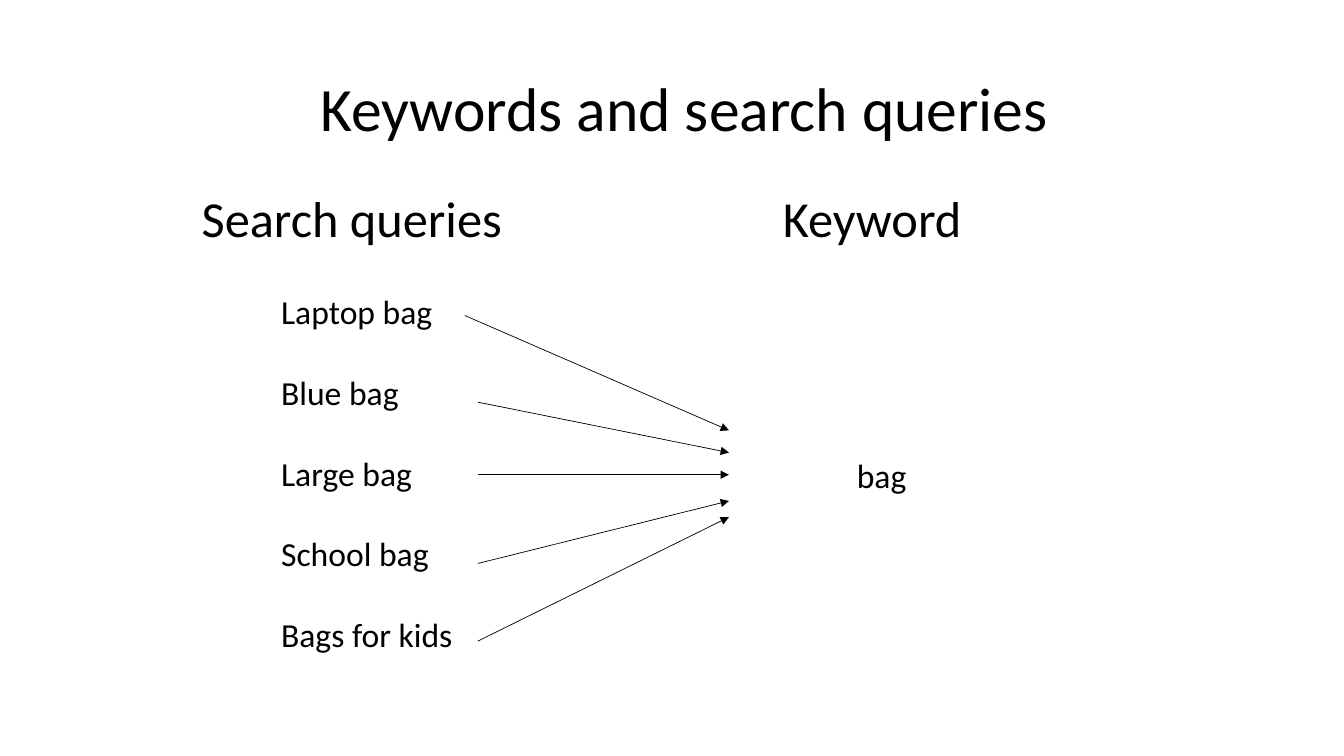
from dataclasses import dataclass

from lxml import etree
from pptx import Presentation
from pptx import util as u
from pptx.dml.color import RGBColor
from pptx.enum import shapes, text
from pptx.oxml.ns import qn

TITLE = "Keywords and search queries"
HEADINGS = ["Search queries", "Keyword"]
KEYWORD = "bag"
# Each query with its arrow: start x, start y, end y (inches)
QUERIES = [
    ("Laptop bag", 4.61, 3.13, 4.27),
    ("Blue bag", 4.74, 3.99, 4.49),
    ("Large bag", 4.74, 4.71, 4.71),
    ("School bag", 4.74, 5.59, 4.97),
    ("Bags for kids", 4.74, 6.36, 5.13),
]

SLIDE_WIDTH, SLIDE_HEIGHT = 13.33, 7.5
ROW_HEIGHT = 1.45
HEADING_LEFT, HEADING_TOP, HEADING_WIDTH, HEADING_PITCH = 1.28, 1.47, 4.42, 5.16
LIST_WIDTH = 4.1
ARROW_END = 7.23


@dataclass(frozen=True)
class Theme:
    font: str = "Calibri"
    ink: RGBColor = RGBColor(0, 0, 0)
    title: int = 44
    heading: int = 36
    body: int = 24
    query_gap: float = 28.8
    line: float = 0.5


THEME = Theme()


def write(shape, box, lines, size, heading=False, middle=True, gap=0):
    """Place a shape and fill it with one paragraph per line."""
    shape.left, shape.top, shape.width, shape.height = map(u.Inches, box)
    frame = shape.text_frame
    frame.text = "\n".join(lines)
    frame.word_wrap = True
    frame.auto_size = text.MSO_AUTO_SIZE.NONE
    frame.vertical_anchor = text.MSO_ANCHOR.MIDDLE if middle else text.MSO_ANCHOR.TOP
    for index, paragraph in enumerate(frame.paragraphs):
        paragraph.alignment = text.PP_ALIGN.CENTER if heading else text.PP_ALIGN.LEFT
        if heading:
            paragraph.line_spacing = 0.9
        if index:
            paragraph.space_before = u.Pt(gap)
        for run in paragraph.runs:
            run.font.name = THEME.font
            run.font.size = u.Pt(size)
            run.font.color.rgb = THEME.ink


def add_text(slide, *details, **options):
    write(slide.shapes.add_textbox(0, 0, 0, 0), *details, **options)


def add_arrow(slide, start_x, start_y, end_x, end_y):
    arrow = slide.shapes.add_connector(
        shapes.MSO_CONNECTOR.STRAIGHT, *map(u.Inches, (start_x, start_y, end_x, end_y)))
    arrow.line.color.rgb = THEME.ink
    arrow.line.width = u.Pt(THEME.line)
    etree.SubElement(arrow.line._get_or_add_ln(), qn("a:tailEnd"), type="triangle")
    etree.SubElement(arrow._element.spPr, qn("a:effectLst"))


def main():
    presentation = Presentation()
    presentation.slide_width = u.Inches(SLIDE_WIDTH)
    presentation.slide_height = u.Inches(SLIDE_HEIGHT)
    slide = presentation.slides.add_slide(presentation.slide_layouts.get_by_name("Title Only"))

    write(slide.shapes.title, (1.04, 0.38, 11.5, ROW_HEIGHT), [TITLE], THEME.title, heading=True)
    add_text(slide, (2.69, 2.84, LIST_WIDTH, 3.74), [query[0] for query in QUERIES],
             THEME.body, middle=False, gap=THEME.query_gap)
    add_text(slide, (8.4, 3.99, LIST_WIDTH, ROW_HEIGHT), [KEYWORD], THEME.body)
    for column, heading in enumerate(HEADINGS):
        left = HEADING_LEFT + column * HEADING_PITCH
        add_text(slide, (left, HEADING_TOP, HEADING_WIDTH, ROW_HEIGHT), [heading],
                 THEME.heading, heading=True)
    for _, start_x, start_y, end_y in QUERIES:
        add_arrow(slide, start_x, start_y, ARROW_END, end_y)

    presentation.save("out.pptx")


if __name__ == "__main__":
    main()
